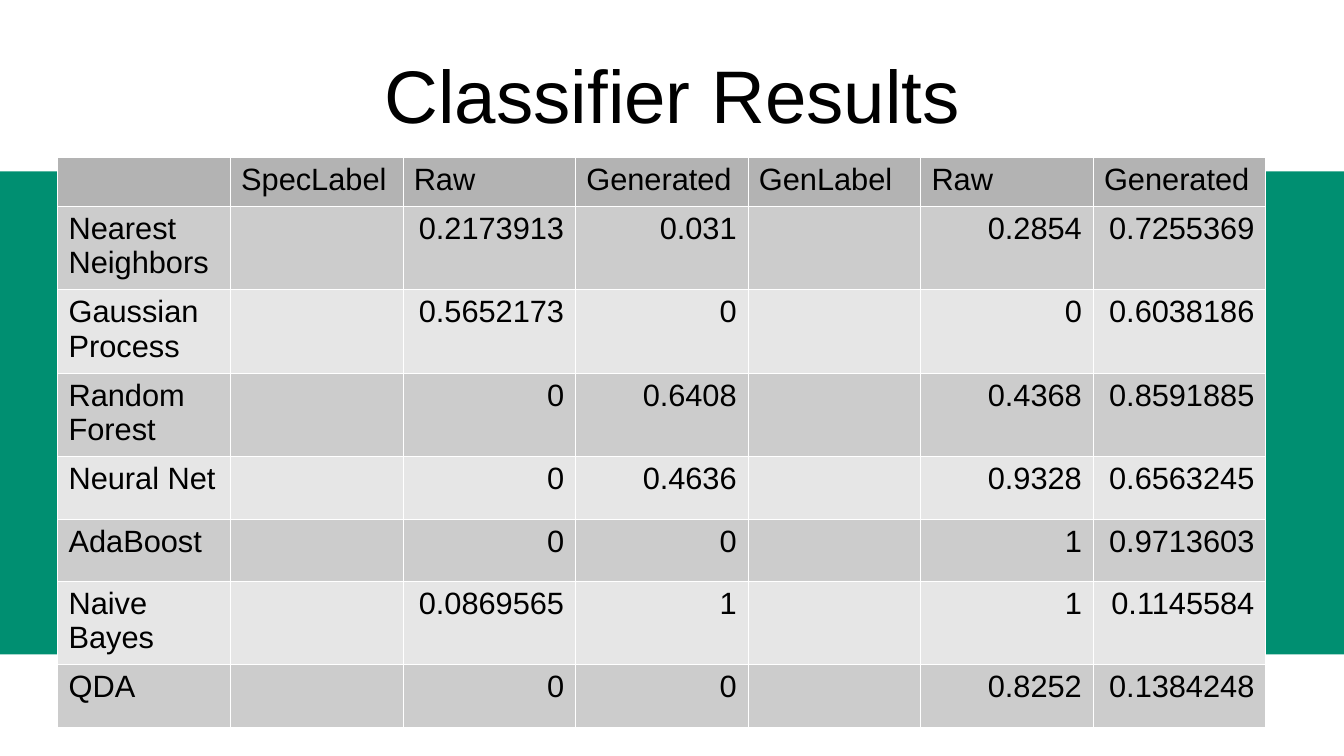
from dataclasses import dataclass

from lxml import etree
from pptx import Presentation
from pptx import util as u
from pptx.dml.color import RGBColor
from pptx.enum import shapes, text
from pptx.oxml import ns


@dataclass(frozen=True)
class Theme:
    font: str = "Arial"
    ink: str = "000000"
    band: str = "008F71"
    header: str = "B3B3B3"
    stripes: tuple = ("CCCCCC", "E6E6E6")
    border: str = "FFFFFF"
    border_width: float = 0.06
    title_size: float = 53.2
    table_size: float = 22


WIDTH, HEIGHT = 33.87, 19.05
COLUMN_WIDTH = 4.35
HEADER_HEIGHT, SHORT_ROW, TALL_ROW = 1.24, 1.57, 2.04

HEADINGS = ["", "SpecLabel", "Raw", "Generated", "GenLabel", "Raw", "Generated"]
RESULTS = [
    ["Nearest Neighbors", "", "0.2173913", "0.031", "", "0.2854", "0.7255369"],
    ["Gaussian Process", "", "0.5652173", "0", "", "0", "0.6038186"],
    ["Random Forest", "", "0", "0.6408", "", "0.4368", "0.8591885"],
    ["Neural Net", "", "0", "0.4636", "", "0.9328", "0.6563245"],
    ["AdaBoost", "", "0", "0", "", "1", "0.9713603"],
    ["Naive Bayes", "", "0.0869565", "1", "", "1", "0.1145584"],
    ["QDA", "", "0", "0", "", "0.8252", "0.1384248"],
]
ROW_HEIGHTS = [HEADER_HEIGHT, TALL_ROW, TALL_ROW, TALL_ROW,
               SHORT_ROW, SHORT_ROW, TALL_ROW, SHORT_ROW]


def write(tf, words, *, font, size, color, align=text.PP_ALIGN.LEFT):
    p = tf.paragraphs[0]
    p.alignment = align
    p.font.size = u.Pt(size)
    if words:
        r = p.add_run()
        r.text = words
        r.font.name = font
        r.font.size = u.Pt(size)
        r.font.color.rgb = RGBColor.from_string(color)


class SlideBuilder:
    def __init__(self, s, theme):
        self.s, self.theme = s, theme

    def band(self, left, top, width, height):
        sp = self.s.shapes.add_shape(shapes.MSO_SHAPE.RECTANGLE, u.Cm(left), u.Cm(top),
                                     u.Cm(width), u.Cm(height))
        sp.shadow.inherit = False
        sp.fill.solid()
        sp.fill.fore_color.rgb = RGBColor.from_string(self.theme.band)
        sp.line.fill.background()

    def title(self, words, left, top, width, height):
        sp = self.s.shapes.add_textbox(u.Cm(left), u.Cm(top), u.Cm(width), u.Cm(height))
        tf = sp.text_frame
        tf.word_wrap = True
        tf.vertical_anchor = text.MSO_ANCHOR.MIDDLE
        tf.margin_left = tf.margin_right = tf.margin_top = tf.margin_bottom = 0
        write(tf, words, font=self.theme.font, size=self.theme.title_size,
              color=self.theme.ink, align=text.PP_ALIGN.CENTER)

    def table(self, rows, left, top, column_width, row_heights):
        columns = len(rows[0])
        frame = self.s.shapes.add_table(len(rows), columns, u.Cm(left), u.Cm(top),
                                        u.Cm(column_width * columns), u.Cm(sum(row_heights)))
        table = frame.table
        table.first_row = table.horz_banding = False
        for column in table.columns:
            column.width = u.Cm(column_width)
        for i, (row, height) in enumerate(zip(rows, row_heights)):
            table.rows[i].height = u.Cm(height)
            fill = self.theme.stripes[(i - 1) % 2] if i else self.theme.header
            for j, words in enumerate(row):
                align = text.PP_ALIGN.RIGHT if i and j else text.PP_ALIGN.LEFT
                self.cell(table.cell(i, j), words, fill, align)

    def cell(self, cell, words, fill, align):
        cell.margin_left = cell.margin_right = u.Cm(0.28)
        cell.margin_top, cell.margin_bottom = u.Cm(0.14), u.Cm(0.1)
        self.borders(cell)
        cell.fill.solid()
        cell.fill.fore_color.rgb = RGBColor.from_string(fill)
        write(cell.text_frame, words, font=self.theme.font, size=self.theme.table_size,
              color=self.theme.ink, align=align)

    def borders(self, cell):
        """Outline all four sides; must run before the cell's fill is set."""
        tc_pr = cell._tc.get_or_add_tcPr()
        for side in ("lnL", "lnR", "lnT", "lnB"):
            ln = etree.SubElement(tc_pr, ns.qn(f"a:{side}"),
                                  w=str(u.Pt(self.theme.border_width)))
            solid = etree.SubElement(ln, ns.qn("a:solidFill"))
            etree.SubElement(solid, ns.qn("a:srgbClr"), val=self.theme.border)


def main():
    prs = Presentation()
    prs.slide_width, prs.slide_height = u.Cm(WIDTH), u.Cm(HEIGHT)
    builder = SlideBuilder(prs.slides.add_slide(prs.slide_layouts[6]), Theme())
    builder.band(0, 4.32, WIDTH, 12.17)
    builder.title("Classifier Results", 1.7, 0.76, 30.48, 3.18)
    builder.table([HEADINGS, *RESULTS], 1.45, 3.95, COLUMN_WIDTH, ROW_HEIGHTS)
    prs.save("out.pptx")


if __name__ == "__main__":
    main()
